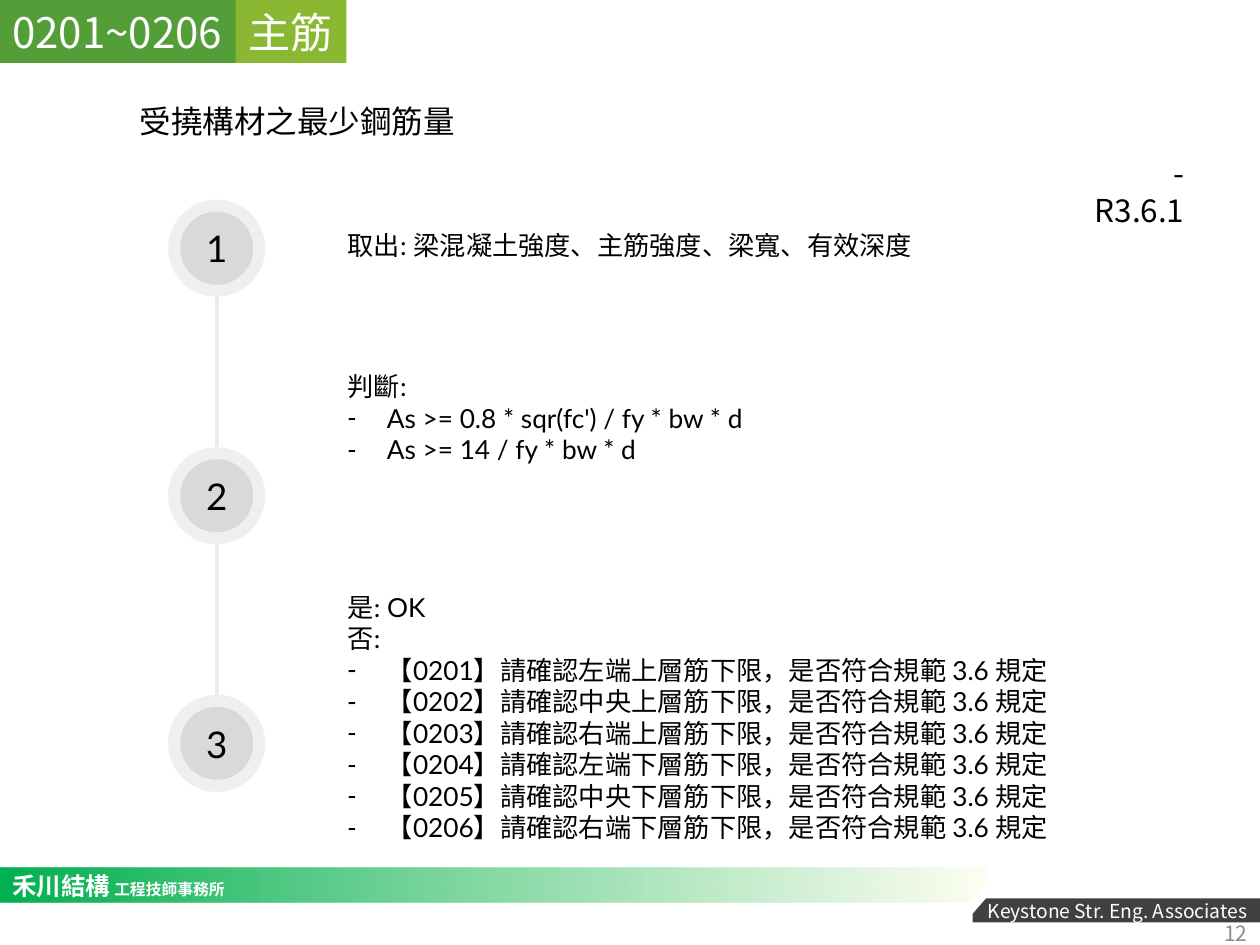
from lxml import etree
from pptx import Presentation
from pptx.dml.color import RGBColor
from pptx.enum.shapes import MSO_CONNECTOR, MSO_SHAPE
from pptx.enum.text import MSO_ANCHOR, MSO_AUTO_SIZE, PP_ALIGN
from pptx.oxml.ns import qn
from pptx.util import Inches, Pt

LEFT, MID, RIGHT = PP_ALIGN.LEFT, PP_ALIGN.CENTER, PP_ALIGN.RIGHT
TOP, CENTER = MSO_ANCHOR.TOP, MSO_ANCHOR.MIDDLE
RECT, OVAL, SLANT = MSO_SHAPE.RECTANGLE, MSO_SHAPE.OVAL, MSO_SHAPE.PARALLELOGRAM
SANS, LATO = "Noto Sans CJK SC", "Lato"
COLORS = {
    "black": "000000", "white": "FFFFFF", "dark": "404040", "page": "8C8C8C",
    "green": "549E39", "lime": "8AB833", "disc": "D9D9D9", "link": "EDECEC",
    "start": "00B050", "end": "FBFDED",
}

# Content; a line that opens with "- " becomes a dash bullet
TITLE = "受撓構材之最少鋼筋量"
CODE = "- R3.6.1"
TAGS = [("0201~0206", 0, 1.88, "green"), ("主筋", 1.87, 0.88, "lime")]
SPOTS = ["左端上", "中央上", "右端上", "左端下", "中央下", "右端下"]
FETCH = ["取出: 梁混凝土強度、主筋強度、梁寬、有效深度"]
CHECK = ["判斷:", "- As >= 0.8 * sqr(fc') / fy * bw * d", "- As >= 14 / fy * bw * d"]
RESULT = ["是: OK", "否:"] + [
    f"- 【{201 + i:04}】請確認{spot}層筋下限，是否符合規範 3.6 規定"
    for i, spot in enumerate(SPOTS)]
FIRM = [("禾川結構", 14), (" 工程技師事務所", 9)]
FIRM_EN = "Keystone Str. Eng. Associates"
PAGE = "12"


def rgb(name):
    return RGBColor.from_string(COLORS[name])


def place(shape, *box):
    shape.left, shape.top, shape.width, shape.height = map(Inches, box)
    return shape


def alpha(parent, pct):
    color = list(parent.iter(qn("a:srgbClr")))[-1]
    etree.SubElement(color, qn("a:alpha")).set("val", str(pct * 1000))


def write(shape, lines, size=15, font=LATO, color="black", align=LEFT,
          anchor=TOP, wrap=True, bold=False, inset=0.1):
    """Each line is a string or a list of (text, size) runs."""
    frame = shape.text_frame
    frame.auto_size = MSO_AUTO_SIZE.NONE
    frame.word_wrap, frame.vertical_anchor = wrap, anchor
    frame.margin_left, frame.margin_right = Inches(inset), Inches(0.1)
    frame.margin_top = frame.margin_bottom = Inches(0.05)
    for i, line in enumerate(lines):
        para = frame.add_paragraph() if i else frame.paragraphs[0]
        props = para._p.get_or_add_pPr()
        dash = len(lines) > 1 and line[:2] == "- "
        indent = Inches(0.31) if dash else 0
        props.set("marL", str(indent))
        props.set("indent", str(-indent))
        if dash:
            etree.SubElement(props, qn("a:buChar")).set("char", "-")
            line = line[2:]
        else:
            etree.SubElement(props, qn("a:buNone"))
        para.alignment, para.space_before = align, Pt(0)
        for text, points in [(line, size)] if isinstance(line, str) else line:
            run = para.add_run()
            run.text = text
            run.font.size, run.font.bold = Pt(points), bold
            run.font.name, run.font.color.rgb = font, rgb(color)
            east = etree.SubElement(run._r.get_or_add_rPr(), qn("a:ea"))
            east.set("typeface", SANS)


def draw(shapes, kind, box, color=None):
    shape = shapes.add_shape(kind, *map(Inches, box))
    shape.shadow.inherit = False
    shape.line.fill.background()
    if color:
        shape.fill.solid()
        shape.fill.fore_color.rgb = rgb(color)
    return shape


def label(shapes, box, lines, **style):
    write(shapes.add_textbox(*map(Inches, box)), lines, **style)


def footer(shapes):
    band = draw(shapes, RECT, (0, 6.89, 7.83, 0.27))
    band.fill.gradient()
    band.fill.gradient_angle = 0
    for stop, color, spot in zip(band.fill.gradient_stops, ("start", "end"), (0, 0.99)):
        stop.color.rgb, stop.position = rgb(color), spot
    alpha(band.fill._xPr, 86)
    bar = draw(shapes, RECT, (7.72, 7.13, 2.28, 0.19), "dark")
    write(bar, [FIRM_EN], size=11, font=SANS, color="white", align=RIGHT, anchor=CENTER,
          wrap=False)
    label(shapes, (0, 6.86, 4.42, 0.49), [FIRM], font=SANS, color="white", bold=True)
    slant = draw(shapes, SLANT, (7.51, 6.94, 0.48, 0.42), "white")
    slant.adjustments[0] = 0.87
    label(shapes, (7.75, 7.21, 2.25, 0.4), [PAGE], size=12, font=SANS, color="page",
          align=RIGHT, anchor=CENTER)


def steps(shapes, count=3, x=1.72, y=1.97, gap=1.965, ring=0.77, core=0.58):
    for i in range(count):
        mid = y + i * gap
        group = shapes.add_group_shape().shapes
        draw(group, OVAL, (x - core / 2, mid - core / 2, core, core), "disc")
        halo = draw(group, OVAL, (x - ring / 2, mid - ring / 2, ring, ring), "disc")
        alpha(halo.fill._xPr, 42)
        write(halo, [str(i + 1)], size=21, align=MID, anchor=CENTER)
        if i < count - 1:
            ends = (x, mid + ring / 2, x, mid + gap - ring / 2)
            link = shapes.add_connector(MSO_CONNECTOR.STRAIGHT, *map(Inches, ends))
            link.line.color.rgb, link.line.width = rgb("link"), Pt(2.25)
            etree.SubElement(link._element.spPr, qn("a:effectLst"))


def main():
    deck = Presentation()
    deck.slide_width, deck.slide_height = Inches(10), Inches(7.5)
    slide = deck.slides.add_slide(deck.slide_layouts[3])
    shapes = slide.shapes
    title, check, result = slide.placeholders

    footer(shapes)
    steps(shapes)

    # Title and rule number
    write(place(title, 1.01, 0.76, 2.73, 0.4), [TITLE], size=18, font=SANS, wrap=False)
    label(shapes, (8.46, 1.17, 1.04, 0.4), [CODE], size=18, font=SANS, align=RIGHT)

    # Step texts
    label(shapes, (2.76, 1.77, 4.99, 0.35), FETCH, inset=0)
    write(place(check, 2.76, 2.89, 4.5, 0.86), CHECK, inset=0)
    write(place(result, 2.76, 4.64, 6.34, 2.12), RESULT, inset=0)

    # Header tags
    for text, left, width, color in TAGS:
        tag = draw(shapes, RECT, (left, 0, width, 0.5), color)
        write(tag, [text], size=24, font=SANS, color="white", anchor=CENTER, wrap=False)

    deck.save("out.pptx")


if __name__ == "__main__":
    main()
